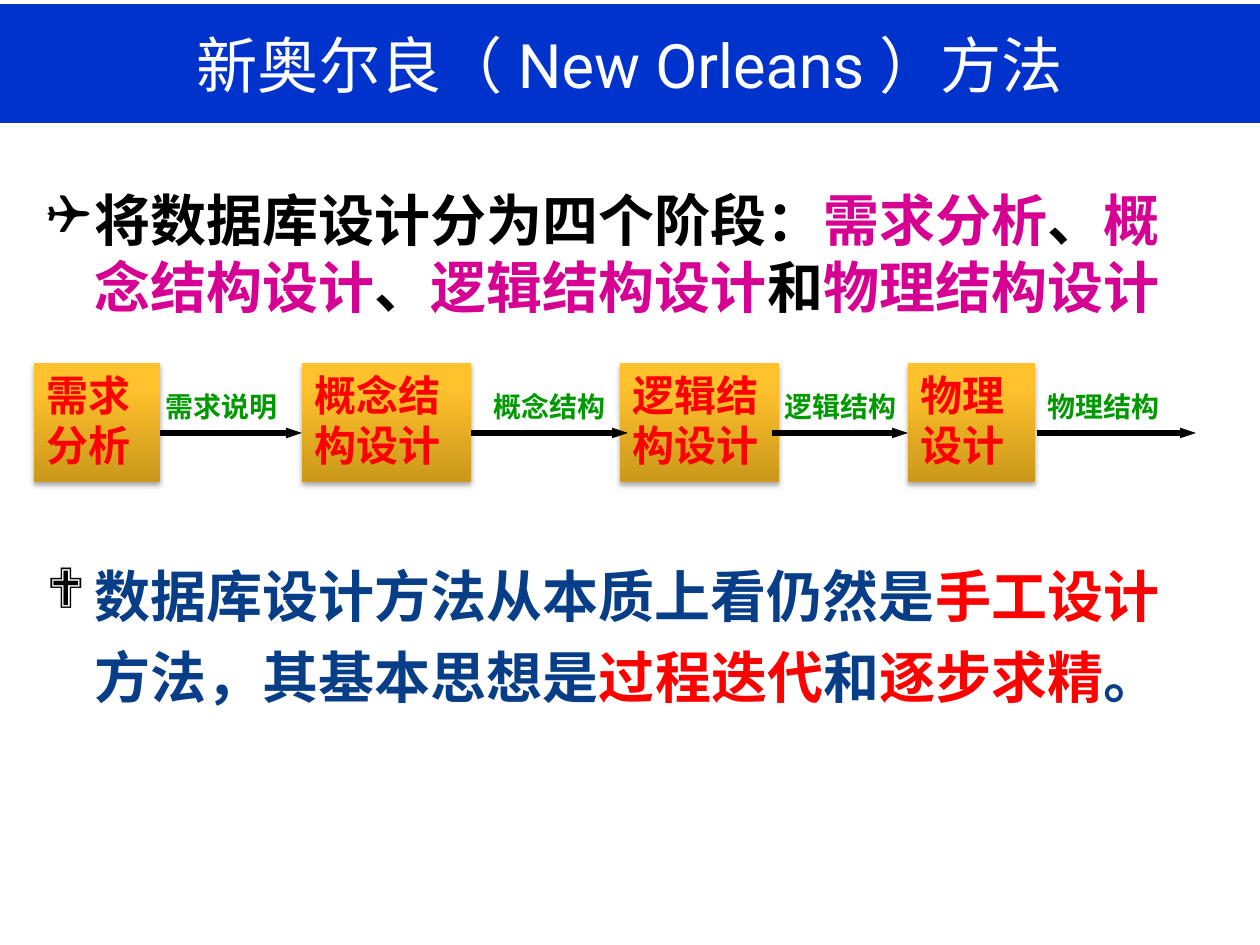
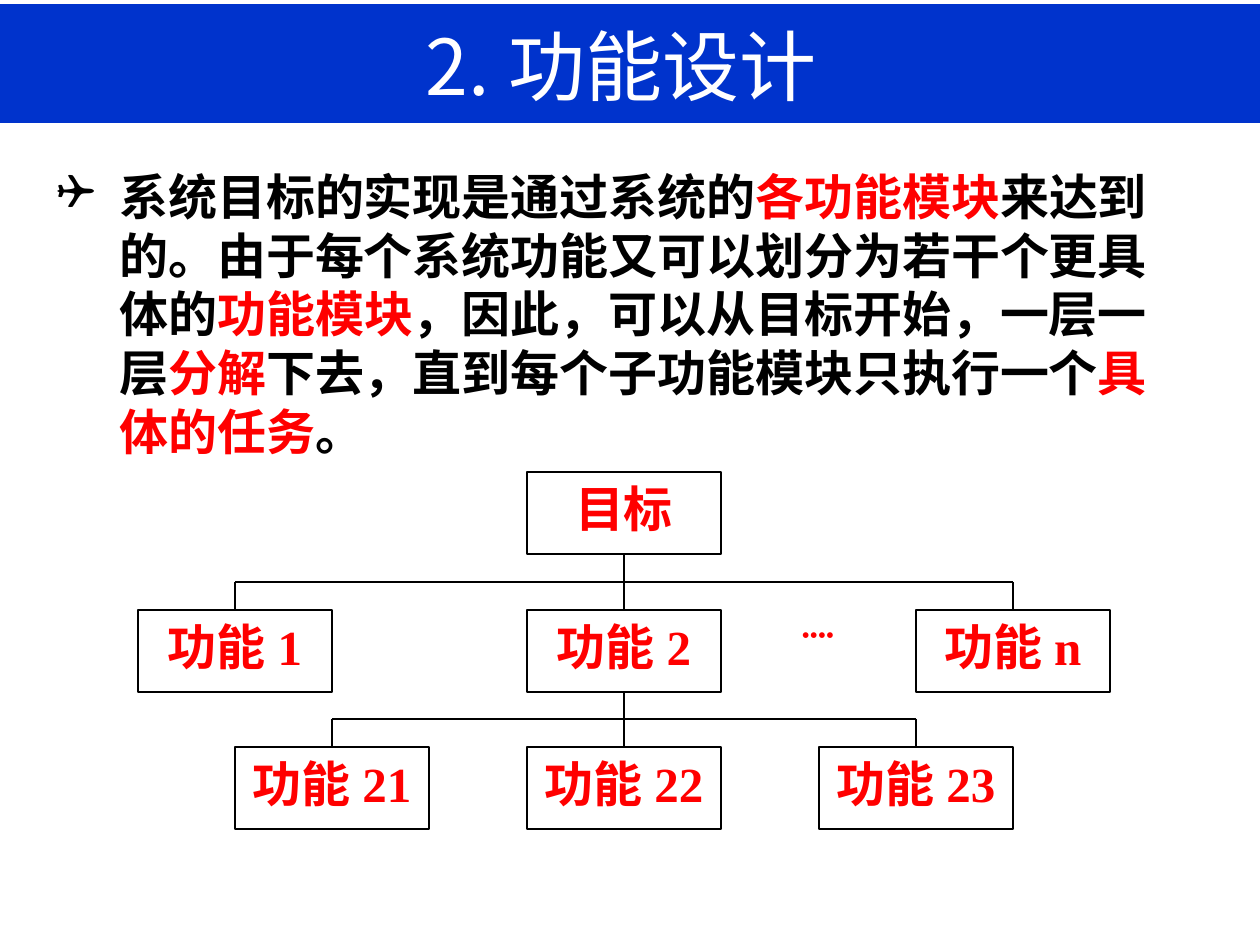
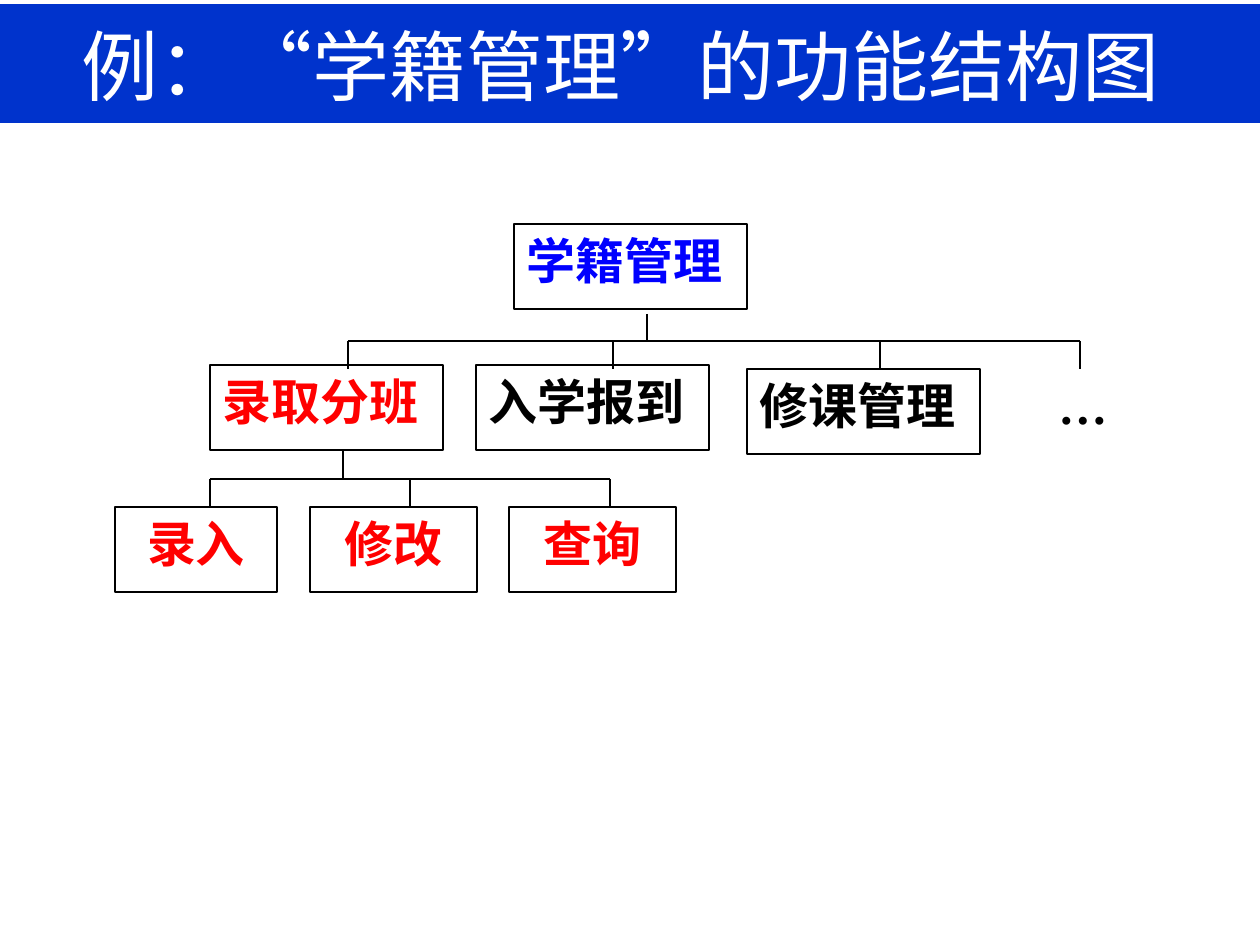
import pptx
import pptx.dml.color
import pptx.enum.shapes
import pptx.enum.text
import pptx.oxml.ns
import pptx.util
from dataclasses import dataclass
from lxml import etree


@dataclass(frozen=True)
class Theme:
    band: str = "0033CC"
    white: str = "FFFFFF"
    black: str = "000000"
    red: str = "FF0000"
    blue: str = "0000FF"
    navy: str = "073E87"
    magenta: str = "D60093"
    green: str = "009900"
    gold: tuple = ((0, "CB981B"), (80, "FFC12C"), (100, "FFC22E"))
    cjk: str = "Noto Sans CJK SC"
    serif: str = "Times New Roman"
    bullet: str = "Wingdings"
    title: int = 44
    long_title: int = 35
    body: int = 32
    node: int = 28
    stage: int = 24
    label: int = 16


T = Theme()
ALIGN = pptx.enum.text.PP_ALIGN
RECT = pptx.enum.shapes.MSO_SHAPE.RECTANGLE
STRAIGHT = pptx.enum.shapes.MSO_CONNECTOR.STRAIGHT
qn = pptx.oxml.ns.qn

BAND = (-4, 4, 1264, 119)
TITLE = (63, 16, 1134, 97)

METHOD = {
    "title": [("新奥尔良（", T.white), ("New Orleans", T.white, "Roboto"), ("）方法", T.white)],
    "stages": [
        (34, 126, ["需求", "分析"]),
        (302, 169, ["概念结", "构设计"]),
        (620, 159, ["逻辑结", "构设计"]),
        (908, 127, ["物理", "设计"]),
    ],
    "labels": [
        (153, 149, "需求说明"),
        (481, 159, "概念结构"),
        (772, 159, "逻辑结构"),
        (1035, 159, "物理结构"),
    ],
    "arrows": [(160, 302), (471, 628), (772, 908), (1037, 1196)],
    "phases": [
        ("将数据库设计分为四个阶段：", T.black), ("需求分析", T.magenta),
        ("、", T.black), ("概念结构设计", T.magenta), ("、", T.black),
        ("逻辑结构设计", T.magenta), ("和", T.black), ("物理结构设计", T.magenta),
    ],
    "essence": [
        ("数据库设计方法从本质上看仍然是", T.navy), ("手工设计", T.red),
        ("方法，其基本思想是", T.navy), ("过程迭代", T.red), ("和", T.navy),
        ("逐步求精", T.red), ("。", T.navy),
    ],
}

FUNCTION = {
    "title": [("2.功能设计 ", T.white)],
    "text": [
        ("系统目标的实现是通过系统的", T.black), ("各功能模块", T.red),
        ("来达到的。由于每个系统功能又可以划分为若干个更具体的", T.black),
        ("功能模块", T.red), ("，因此，可以从目标开始，一层一层", T.black),
        ("分解", T.red), ("下去，直到每个子功能模块只执行一个", T.black),
        ("具体的任务", T.red), ("。", T.black),
    ],
    "centre": 624,
    "node": (194, 82),
    "levels": [
        (472, 0, ["目标"]),
        (610, 389, ["功能1", "功能2", "功能n"]),
        (747, 292, ["功能21", "功能22", "功能23"]),
    ],
    "dots": (721, 610, "¨¨"),
    "drop": 28,
}

STUDENT = {
    "title": [("例：“学籍管理”的功能结构图 ", T.white)],
    "height": 85,
    "nodes": [
        (514, 224, 233, "学籍管理", T.blue, ALIGN.JUSTIFY),
        (210, 365, 233, "录取分班", T.red, ALIGN.JUSTIFY),
        (476, 365, 233, "入学报到", T.black, ALIGN.JUSTIFY),
        (747, 369, 233, "修课管理", T.black, ALIGN.JUSTIFY),
        (115, 507, 162, "录入", T.red, ALIGN.CENTER),
        (310, 507, 167, "修改", T.red, ALIGN.CENTER),
        (509, 507, 167, "查询", T.red, ALIGN.CENTER),
    ],
    "more": (1046, 369, 100, "…"),
    "rails": [
        (647, 314, 341, [348, 613, 880, 1080]),
        (343, 451, 479, [210, 410, 610]),
    ],
    "drop": 28,
}


def px(n):
    return round(n * 914400 / 126)


def rgb(value):
    return pptx.dml.color.RGBColor.from_string(value)


def sub(parent, tag, **attrs):
    return etree.SubElement(parent, qn(tag), {k: str(v) for k, v in attrs.items()})


def colour(parent, value):
    return sub(parent, "a:srgbClr", val=value)


def text(sp, paragraphs, size=T.node, font=T.serif, bold=True, align=ALIGN.LEFT,
         spacing=1.0, hang=0, bullet=None, bullet_color=T.black, middle=False):
    tf = sp.text_frame
    tf.word_wrap = True
    tf.auto_size = pptx.enum.text.MSO_AUTO_SIZE.NONE
    tf.margin_left = tf.margin_right = pptx.util.Inches(0.1)
    tf.margin_top = tf.margin_bottom = pptx.util.Inches(0.05)
    anchor = pptx.enum.text.MSO_ANCHOR
    tf.vertical_anchor = anchor.MIDDLE if middle else anchor.TOP
    for i, runs in enumerate(paragraphs):
        p = tf.add_paragraph() if i else tf.paragraphs[0]
        p.alignment = align
        p.line_spacing = spacing
        p.space_before = pptx.util.Pt(0)
        pPr = p._p.get_or_add_pPr()
        pPr.set("marL", str(px(hang)))
        pPr.set("indent", str(px(-hang)))
        if bullet:
            colour(sub(pPr, "a:buClr"), bullet_color)
            sub(pPr, "a:buFont", typeface=T.bullet)
            sub(pPr, "a:buChar", char=bullet)
        for content, color, *special in runs:
            r = p.add_run()
            r.text = content
            r.font.size = pptx.util.Pt(size)
            r.font.bold = bold
            r.font.name = special[0] if special else font
            r.font.color.rgb = rgb(color)
            rPr = r._r.get_or_add_rPr()
            rPr.set("lang", "zh-CN")
            sub(rPr, "a:ea", typeface=T.cjk)


def box(slide, at, fill=T.white, outline=None):
    sp = slide.shapes.add_shape(RECT, *map(px, at))
    sp.shadow.inherit = False
    sp.fill.solid()
    sp.fill.fore_color.rgb = rgb(fill)
    if outline:
        sp.line.color.rgb = rgb(outline)
        sp.line.width = pptx.util.Pt(0.75)
    else:
        sp.line.fill.background()
    return sp


def gild(sp):
    sp.fill.gradient()
    sp.fill.gradient_angle = 90
    stops = sp.element.spPr.find(".//" + qn("a:gsLst"))
    for gs in list(stops):
        stops.remove(gs)
    for pos, value in T.gold:
        colour(sub(stops, "a:gs", pos=pos * 1000), value)
    effects = sp.element.spPr.find(qn("a:effectLst"))
    shadow = sub(effects, "a:outerShdw", blurRad=40000, dist=23000, dir=5400000, rotWithShape=0)
    sub(colour(shadow, T.black), "a:alpha", val=35000)


def line(slide, x1, y1, x2, y2, width=0.75, arrow=False, nodes=()):
    cx = slide.shapes.add_connector(STRAIGHT, px(x1), px(y1), px(x2), px(y2))
    cx.line.color.rgb = rgb(T.black)
    cx.line.width = pptx.util.Pt(width)
    if arrow:
        sub(cx.line._get_or_add_ln(), "a:tailEnd", type="triangle", w="sm", len="med")
    sub(cx.element.spPr, "a:effectLst")
    for connect, x, y in ((cx.begin_connect, x1, y1), (cx.end_connect, x2, y2)):
        for sp in nodes:
            for site, side in ((0, sp.top), (2, sp.top + sp.height)):
                if max(abs(sp.left + sp.width / 2 - px(x)), abs(side - px(y))) < px(1):
                    connect(sp, site)


def branch(slide, trunk, top, rail, drops, drop, nodes):
    bottom = rail + drop
    line(slide, trunk, top, trunk, bottom if trunk in drops else rail, nodes=nodes)
    line(slide, drops[0], rail, drops[-1], rail)
    for x in drops:
        if x != trunk:
            line(slide, x, rail, x, bottom, nodes=nodes)


def add_slide(prs, title, size=T.title):
    slide = prs.slides.add_slide(prs.slide_layouts[5])
    sp = slide.shapes.title
    sp.left, sp.top, sp.width, sp.height = map(px, TITLE)
    text(sp, [title], size=size, font=T.cjk, bold=False, align=ALIGN.CENTER,
         hang=126, middle=True)
    return slide


def add_band(slide):
    band = box(slide, BAND, T.band)
    slide.slide_layout.shapes.element.insert(2, band.element)


def paragraph(slide, at, runs, **fmt):
    text(slide.shapes.add_textbox(*map(px, at)), [runs], **fmt)


def method_slide(prs):
    slide = add_slide(prs, METHOD["title"], T.long_title)
    add_band(slide)
    paragraph(slide, (34, 179, 1163, 175), METHOD["phases"], size=T.body,
              font="Calibri", hang=48, bullet="❑")
    for (x, w, lines), (lx, lw, label) in zip(METHOD["stages"], METHOD["labels"]):
        text(box(slide, (lx, 383, lw, 59)), [[(label, T.green)]],
             size=T.label, align=ALIGN.JUSTIFY)
        sp = box(slide, (x, 363, w, 119))
        gild(sp)
        text(sp, [[(s, T.red)] for s in lines], size=T.stage, align=ALIGN.JUSTIFY)
    for x1, x2 in METHOD["arrows"]:
        line(slide, x1, 433, x2, 433, width=3, arrow=True)
    paragraph(slide, (34, 542, 1187, 228), METHOD["essence"], size=T.body,
              font="Open Sans", hang=48, bullet="❖", spacing=1.2)


def function_slide(prs):
    slide = add_slide(prs, FUNCTION["title"])
    w, h = FUNCTION["node"]
    centre, drop = FUNCTION["centre"], FUNCTION["drop"]
    x, y, dots = FUNCTION["dots"]
    text(box(slide, (x, y, w, h)), [[(dots, T.red)]], align=ALIGN.CENTER)
    nodes, rails = [], []
    for top, step, names in FUNCTION["levels"]:
        centres = [centre + (i - len(names) // 2) * step for i in range(len(names))]
        for cx, name in zip(centres, names):
            sp = box(slide, (cx - w // 2, top, w, h), outline=T.black)
            text(sp, [[(name, T.red)]], align=ALIGN.CENTER)
            nodes.append(sp)
        if step:
            rails.append((centre, parent_bottom, top - drop, centres))
        parent_bottom = top + h
    for rail in rails:
        branch(slide, *rail, drop, nodes)
    paragraph(slide, (44, 160, 1160, 310), FUNCTION["text"], font=T.cjk, hang=63, bullet="❑")


def student_slide(prs):
    slide = add_slide(prs, STUDENT["title"])
    h = STUDENT["height"]
    x, y, w, more = STUDENT["more"]
    text(box(slide, (x, y, w, h)), [[(more, T.black)]], align=ALIGN.JUSTIFY)
    nodes = []
    for x, y, w, name, color, align in STUDENT["nodes"]:
        sp = box(slide, (x, y, w, h), outline=T.black)
        text(sp, [[(name, color)]], align=align)
        nodes.append(sp)
    for rail in STUDENT["rails"]:
        branch(slide, *rail, STUDENT["drop"], nodes)


def main():
    prs = pptx.Presentation()
    prs.slide_width, prs.slide_height = px(1260), px(945)
    method_slide(prs)
    function_slide(prs)
    student_slide(prs)
    prs.save("out.pptx")


if __name__ == "__main__":
    main()
